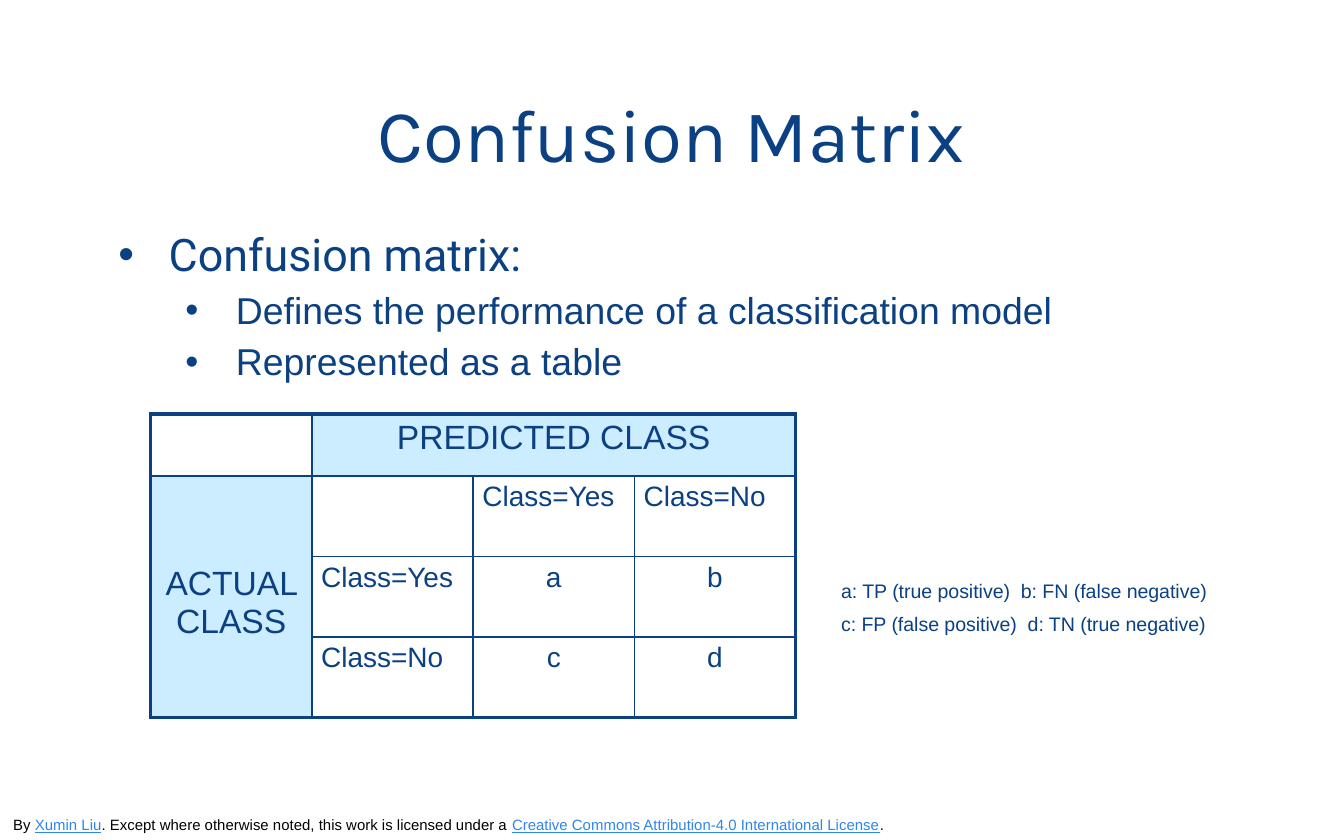
import pptx
import pptx.dml.color
import pptx.enum.text
import pptx.oxml
import pptx.oxml.ns
import pptx.util
from pptx.util import Pt

ALIGN = pptx.enum.text.PP_ALIGN
ANCHOR = pptx.enum.text.MSO_ANCHOR

THEME = {
    "navy": "0B4183", "pale": "CCECFF", "white": "FFFFFF", "black": "000000", "link": "3085ED",
    "title_font": "Karla", "lead_font": "Roboto", "font": "Arial",
    "title": 40, "lead": 24, "point": 20, "heading": 18, "label": 15, "legend": 10.5, "credit": 8,
    "inner_line": 1, "outer_line": 2.25,
}

TITLE = "Confusion Matrix"
LEAD = "Confusion matrix:"
POINTS = ["Defines the performance of a classification model", "Represented as a table"]
MATRIX = [
    ["", "PREDICTED CLASS", "", ""],
    ["ACTUAL CLASS", "", "Class=Yes", "Class=No"],
    ["", "Class=Yes", "a", "b"],
    ["", "Class=No", "c", "d"],
]
HEADINGS = {(0, 1): (0, 3), (1, 0): (3, 0)}  # first cell of each merged heading: last cell
LEGEND = ["a: TP (true positive)  b: FN (false negative)",
          "c: FP (false positive)  d: TN (true negative)"]
CREDIT = [  # text, is a link
    ("By ", False), ("Xumin Liu", True),
    (". Except where otherwise noted, this work is licensed under a\u00a0", False),
    ("Creative Commons Attribution-4.0 International License", True), (".", False),
]

MATRIX_LEFT, MATRIX_TOP = 80.64, 221.76
COLUMN_WIDTH = 86.4
ROW_HEIGHTS = [33.12] + [43.2] * 3
CELL_MARGINS = (5.04, 2.88)
ACTUAL_TOP_MARGIN = 48


def rgb(name):
    return pptx.dml.color.RGBColor.from_string(THEME[name])


def write(paragraph, text, size, font="font", color="navy", align=ALIGN.LEFT,
          underline=False, after=0, line=None):
    run = paragraph.add_run()
    run.text = text
    run.font.size = Pt(THEME[size])
    run.font.name = THEME[font]
    run.font.color.rgb = rgb(color)
    run.font.underline = underline
    paragraph.alignment = align
    if line:
        paragraph.line_spacing = line
    paragraph.space_after = Pt(after)


def add_text_frame(slide, box, margins=(7.2, 3.6), anchor=ANCHOR.TOP):
    frame = slide.shapes.add_textbox(*map(Pt, box)).text_frame
    frame.word_wrap = True
    frame.vertical_anchor = anchor
    frame.margin_left = frame.margin_right = Pt(margins[0])
    frame.margin_top = frame.margin_bottom = Pt(margins[1])
    return frame


def paragraphs(frame, count):
    return [frame.paragraphs[0]] + [frame.add_paragraph() for _ in range(count - 1)]


def add_bullet(paragraph, indent, hang=27):
    properties = paragraph._p.get_or_add_pPr()
    properties.set("marL", str(Pt(indent)))
    properties.set("indent", str(-Pt(hang)))
    namespace = pptx.oxml.ns.nsdecls("a")
    for xml in (f'<a:buClr {namespace}><a:srgbClr val="{THEME["navy"]}"/></a:buClr>',
                f'<a:buFont {namespace} typeface="{THEME["font"]}"/>',
                f'<a:buChar {namespace} char="•"/>'):
        properties.append(pptx.oxml.parse_xml(xml))


def set_borders(cell, outer_sides):
    for side in "LRTB":
        width = THEME["outer_line" if side in outer_sides else "inner_line"]
        cell._tc.get_or_add_tcPr().append(pptx.oxml.parse_xml(
            f'<a:ln{side} {pptx.oxml.ns.nsdecls("a")} w="{Pt(width)}"><a:solidFill>'
            f'<a:srgbClr val="{THEME["navy"]}"/></a:solidFill></a:ln{side}>'))


def add_matrix(slide):
    rows, columns = len(MATRIX), len(MATRIX[0])
    table = slide.shapes.add_table(
        rows, columns, Pt(MATRIX_LEFT), Pt(MATRIX_TOP),
        Pt(COLUMN_WIDTH * columns), Pt(sum(ROW_HEIGHTS))).table
    table.first_row = table.horz_banding = False
    for column in table.columns:
        column.width = Pt(COLUMN_WIDTH)
    for row, height in zip(table.rows, ROW_HEIGHTS):
        row.height = Pt(height)
    for first, last in HEADINGS.items():
        table.cell(*first).merge(table.cell(*last))

    for r, labels in enumerate(MATRIX):
        for c, label in enumerate(labels):
            cell = table.cell(r, c)
            heading = (r, c) in HEADINGS
            last_row, last_column = HEADINGS.get((r, c), (r, c))
            edges = {"L": c == 0, "R": last_column == columns - 1,
                     "T": r == 0, "B": last_row == rows - 1}
            set_borders(cell, [side for side, outer in edges.items() if outer])
            cell.fill.solid()
            cell.fill.fore_color.rgb = rgb("pale" if heading else "white")
            cell.margin_left = cell.margin_right = Pt(CELL_MARGINS[0])
            cell.margin_top = cell.margin_bottom = Pt(CELL_MARGINS[1])
            if label:
                centred = heading or len(label) == 1
                write(cell.text_frame.paragraphs[0], label, "heading" if heading else "label",
                      align=ALIGN.CENTER if centred else ALIGN.LEFT)
    table.cell(1, 0).margin_top = Pt(ACTUAL_TOP_MARGIN)


def main():
    deck = pptx.Presentation()
    deck.slide_width, deck.slide_height = Pt(720), Pt(450)
    slide = deck.slides.add_slide(deck.slide_layouts[6])

    credit = add_text_frame(slide, (0, 432.72, 540, 17.28), anchor=ANCHOR.BOTTOM)
    for text, is_link in CREDIT:
        write(credit.paragraphs[0], text, "credit",
              color="link" if is_link else "black", underline=is_link)

    title = add_text_frame(slide, (48.24, 29.52, 622.8, 72.72), (7.2, 7.2), ANCHOR.BOTTOM)
    write(title.paragraphs[0], TITLE, "title", font="title_font", align=ALIGN.CENTER)

    body = add_text_frame(slide, (58.32, 121.68, 622.8, 285.12), CELL_MARGINS)
    lead, *points = paragraphs(body, 1 + len(POINTS))
    write(lead, LEAD, "lead", font="lead_font", after=6, line=0.9)
    add_bullet(lead, 27)
    for point, text in zip(points, POINTS):
        point.level = 1
        write(point, text, "point", after=6, line=0.9)
        add_bullet(point, 63)

    add_matrix(slide)

    legend = add_text_frame(slide, (443.52, 306.72, 228.96, 38.88))
    for entry, text in zip(paragraphs(legend, len(LEGEND)), LEGEND):
        write(entry, text, "legend", after=5.25)

    deck.save("out.pptx")


if __name__ == "__main__":
    main()
